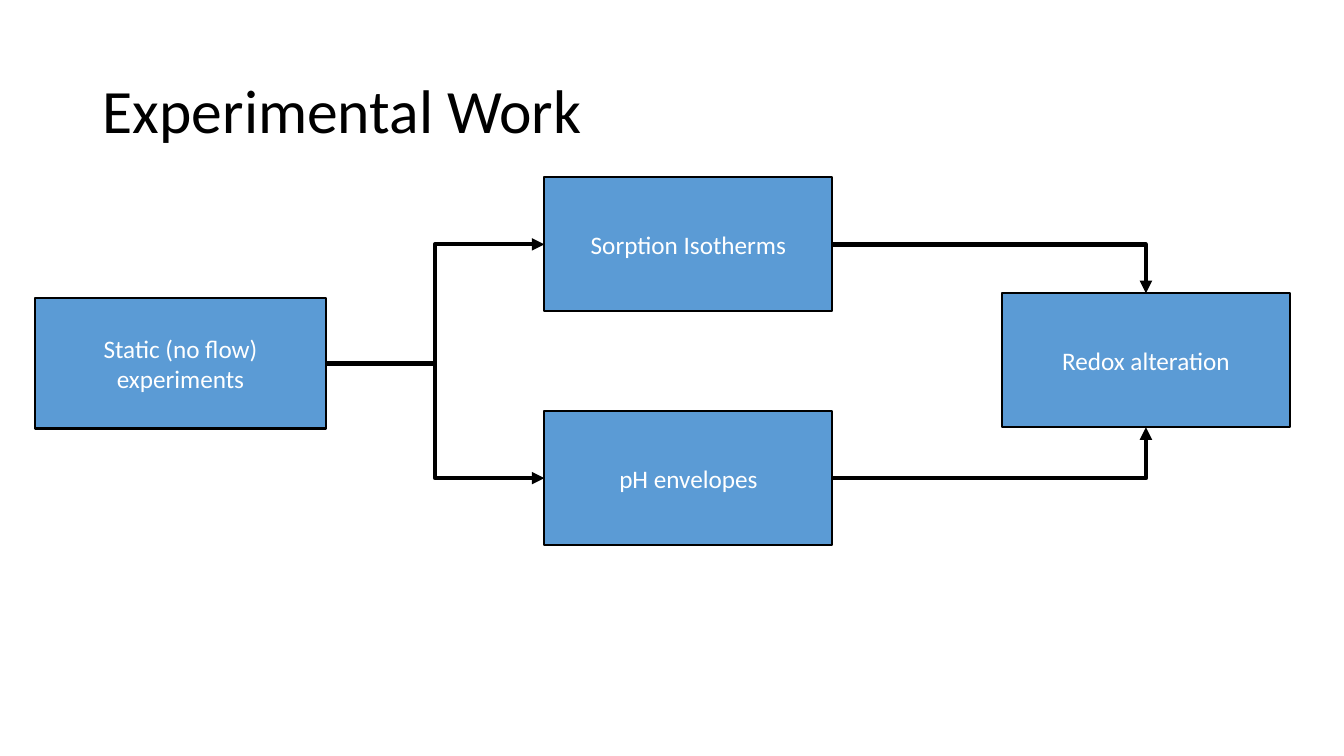
from lxml import etree
from pptx import Presentation
from pptx.dml.color import RGBColor
from pptx.enum.shapes import MSO_CONNECTOR, MSO_SHAPE
from pptx.enum.text import MSO_ANCHOR, MSO_AUTO_SIZE, PP_ALIGN
from pptx.oxml.ns import qn
from pptx.util import Cm, Pt

RECT, ELBOW = MSO_SHAPE.RECTANGLE, MSO_CONNECTOR.ELBOW
MIDDLE, NO_FIT = MSO_ANCHOR.MIDDLE, MSO_AUTO_SIZE.NONE
LEFT, CENTER = PP_ALIGN.LEFT, PP_ALIGN.CENTER
TOP_SIDE, LEFT_SIDE, BOTTOM_SIDE, RIGHT_SIDE = range(4)
COLORS = {"box": "5B9BD5", "line": "000000", "title": "000000", "label": "FFFFFF"}


def set_text(tf, text, size, color, align):
    tf.word_wrap = True
    tf.auto_size = NO_FIT
    tf.vertical_anchor = MIDDLE
    p = tf.paragraphs[0]
    p.text = text
    p.alignment = align
    p.font.name = "Calibri"
    p.font.size = Pt(size)
    p.font.color.rgb = RGBColor.from_string(COLORS[color])
    return p


prs = Presentation()
prs.slide_width, prs.slide_height = Cm(33.87), Cm(19.05)
s = prs.slides.add_slide(prs.slide_layouts[5])

# Title
title = s.shapes.title
title.left, title.top, title.width, title.height = Cm(2.34), Cm(1.02), Cm(29.21), Cm(3.68)
set_text(title.text_frame, "Experimental Work", 44, "title", LEFT).line_spacing = 0.9

# Boxes: label, left, top, width, height
boxes = {}
for key, text, x, y, w, h in [
    ("static", "Static (no flow) experiments", 0.89, 7.52, 7.32, 3.28),
    ("sorption", "Sorption Isotherms", 13.72, 4.47, 7.26, 3.38),
    ("ph", "pH envelopes", 13.72, 10.36, 7.26, 3.38),
    ("redox", "Redox alteration", 25.25, 7.39, 7.26, 3.38),
]:
    sp = s.shapes.add_shape(RECT, Cm(x), Cm(y), Cm(w), Cm(h))
    sp.shadow.inherit = False
    sp.fill.solid()
    sp.fill.fore_color.rgb = RGBColor.from_string(COLORS["box"])
    sp.line.color.rgb = RGBColor.from_string(COLORS["line"])
    sp.line.width = Pt(1.5)
    set_text(sp.text_frame, text, 18, "label", CENTER)
    boxes[key] = sp

# Arrows, each leaving the right side of its first box
for start, end, side, geometry in [
    ("static", "sorption", LEFT_SIDE, "bentConnector3"),
    ("static", "ph", LEFT_SIDE, "bentConnector3"),
    ("ph", "redox", BOTTOM_SIDE, "bentConnector2"),
    ("sorption", "redox", TOP_SIDE, "bentConnector2"),
]:
    arrow = s.shapes.add_connector(ELBOW, 0, 0, 0, 0)
    arrow.begin_connect(boxes[start], RIGHT_SIDE)
    arrow.end_connect(boxes[end], side)
    arrow.line.color.rgb = RGBColor.from_string(COLORS["line"])
    arrow.line.width = Pt(3)
    sp_pr = arrow._element.spPr
    sp_pr.find(qn("a:prstGeom")).set("prst", geometry)
    etree.SubElement(sp_pr.find(qn("a:ln")), qn("a:tailEnd"), type="triangle")
    etree.SubElement(sp_pr, qn("a:effectLst"))

prs.save("out.pptx")
